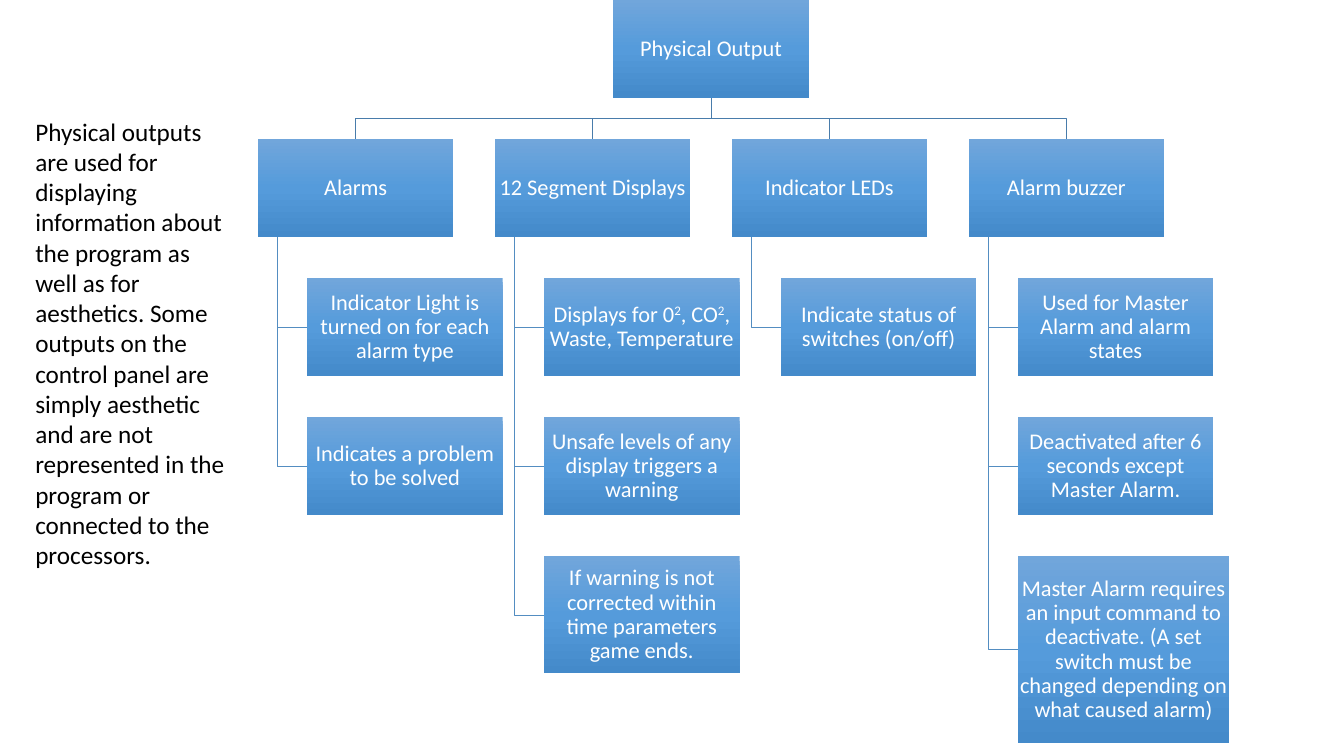
from copy import deepcopy

from pptx import Presentation
from pptx.dml.color import RGBColor
from pptx.enum.shapes import MSO_SHAPE as SHAPE
from pptx.enum.text import MSO_ANCHOR as ANCHOR, MSO_AUTO_SIZE as AUTO_SIZE, PP_ALIGN as ALIGN
from pptx.util import Cm, Pt

COLORS = {
    "top": "71A6DB", "middle": "559BDB", "bottom": "448ACA",
    "branch": "497CAB", "twig": "538DC1", "box_text": "FFFFFF", "note": "000000",
}
FONT = "Calibri"

# Layout of the tree, in centimetres
BOX_W, BOX_H = 4.93, 2.46
COL_LEFT, COL_STEP, ROW_STEP = 6.5, 5.97, 3.505
INDENT, TRUNK = 1.24, 0.49
ROW_GAP = ROW_STEP - BOX_H

ROOT = "Physical Output"
# Text between carets is superscript
BRANCHES = {
    "Alarms": [
        "Indicator Light is turned on for each alarm type",
        "Indicates a problem to be solved",
    ],
    "12 Segment Displays": [
        "Displays for 0^2^, CO^2^, Waste, Temperature",
        "Unsafe levels of any display triggers a warning",
        "If warning is not corrected within time parameters game ends.",
    ],
    "Indicator LEDs": ["Indicate status of switches (on/off)"],
    "Alarm buzzer": [
        "Used for Master Alarm and alarm states",
        "Deactivated after 6 seconds except Master Alarm.",
        "Master Alarm requires an input command to deactivate. "
        "(A set switch must be changed depending on what caused alarm)",
    ],
}
# Boxes that outgrow the common size: (column, row) -> (width, height)
LARGE_BOXES = {(1, 3): (BOX_W, 2.95), (3, 3): (5.33, 4.71)}
NOTE = (
    "Physical outputs are used for displaying information about the program "
    "as well as for aesthetics. Some outputs on the control panel are simply "
    "aesthetic and are not represented in the program or connected to the processors."
)


def rgb(name):
    return RGBColor.from_string(COLORS[name])


def add_run(p, text, size, color, superscript=False):
    r = p.add_run()
    r.text = text
    r.font.name, r.font.size = FONT, Pt(size)
    r.font.color.rgb = rgb(color)
    if superscript:
        r.font._element.set("baseline", "30000")


def fill_gradient(sp):
    """Fill with three stops running from top to bottom."""
    sp.fill.gradient()
    sp.fill.gradient_angle = 270
    stop_list = sp._element.spPr.gradFill.gsLst
    stop_list.append(deepcopy(stop_list[0]))
    for i, (stop, color) in enumerate(zip(sp.fill.gradient_stops, ("top", "middle", "bottom"))):
        stop.position = i / 2
        stop.color.rgb = rgb(color)


def add_box(slide, text, x, y, w=BOX_W, h=BOX_H):
    sp = slide.shapes.add_shape(SHAPE.RECTANGLE, Cm(x), Cm(y), Cm(w), Cm(h))
    sp.shadow.inherit = False
    sp.line.fill.background()
    fill_gradient(sp)
    tf = sp.text_frame
    tf.word_wrap, tf.vertical_anchor = True, ANCHOR.MIDDLE
    tf.margin_left = tf.margin_right = tf.margin_top = tf.margin_bottom = Cm(0.03)
    p = tf.paragraphs[0]
    p.alignment, p.line_spacing = ALIGN.CENTER, 0.9
    for i, part in enumerate(text.split("^")):
        add_run(p, part, 16, "box_text", superscript=i % 2 == 1)


def add_elbow(slide, points, color):
    """Draw an open line through points given in centimetres."""
    start, *rest = [(Cm(x), Cm(y)) for x, y in points]
    builder = slide.shapes.build_freeform(*start)
    builder.add_line_segments(rest, close=False)
    sp = builder.convert_to_shape()
    sp.shadow.inherit = False
    sp.fill.background()
    sp.line.color.rgb = rgb(color)
    sp.line.width = Pt(0.5)


def add_tree(slide):
    root_x = COL_LEFT + (len(BRANCHES) - 1) * COL_STEP / 2
    root_mid, fork_y = root_x + BOX_W / 2, BOX_H + ROW_GAP / 2
    boxes = [(ROOT, root_x, 0)]
    for col, (title, details) in enumerate(BRANCHES.items()):
        x = COL_LEFT + col * COL_STEP
        mid, trunk_x = x + BOX_W / 2, x + TRUNK
        add_elbow(slide, [(root_mid, BOX_H), (root_mid, fork_y), (mid, fork_y), (mid, ROW_STEP)],
                  "branch")
        boxes.append((title, x, ROW_STEP))
        for row, text in enumerate(details, 1):
            w, h = LARGE_BOXES.get((col, row), (BOX_W, BOX_H))
            y = (row + 1) * ROW_STEP
            add_elbow(slide, [(trunk_x, ROW_STEP + BOX_H), (trunk_x, y + h / 2),
                              (x + INDENT, y + h / 2)], "twig")
            boxes.append((text, x + INDENT, y, w, h))
    for box in boxes:
        add_box(slide, *box)


def add_note(slide):
    tf = slide.shapes.add_textbox(Cm(0.64), Cm(2.8), Cm(5.44), Cm(11.79)).text_frame
    tf.word_wrap, tf.auto_size = True, AUTO_SIZE.SHAPE_TO_FIT_TEXT
    add_run(tf.paragraphs[0], NOTE, 18, "note")


def main():
    prs = Presentation()
    prs.slide_width, prs.slide_height = Cm(33.87), Cm(19.05)
    slide = prs.slides.add_slide(prs.slide_layouts[6])
    add_tree(slide)
    add_note(slide)
    prs.save("out.pptx")


if __name__ == "__main__":
    main()
